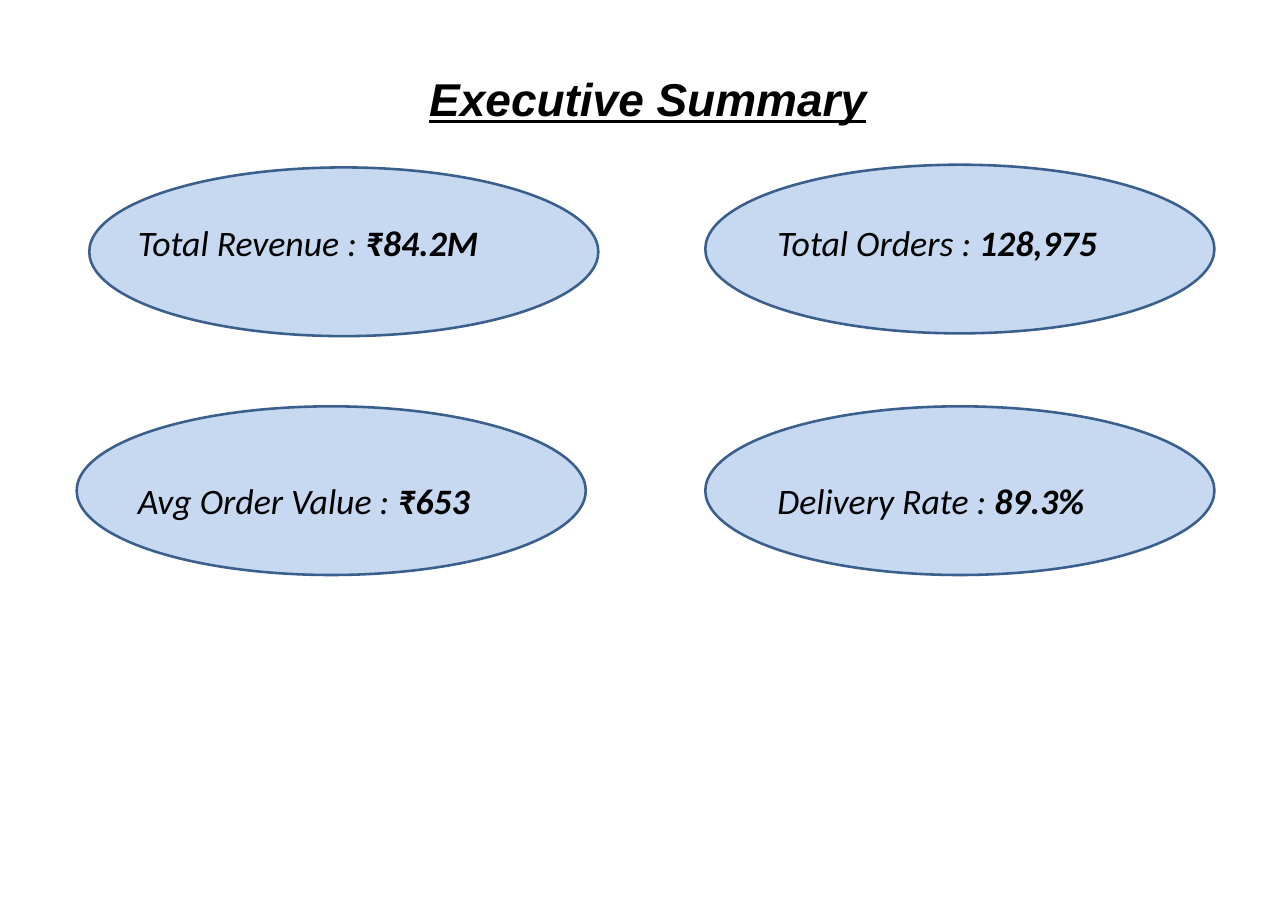
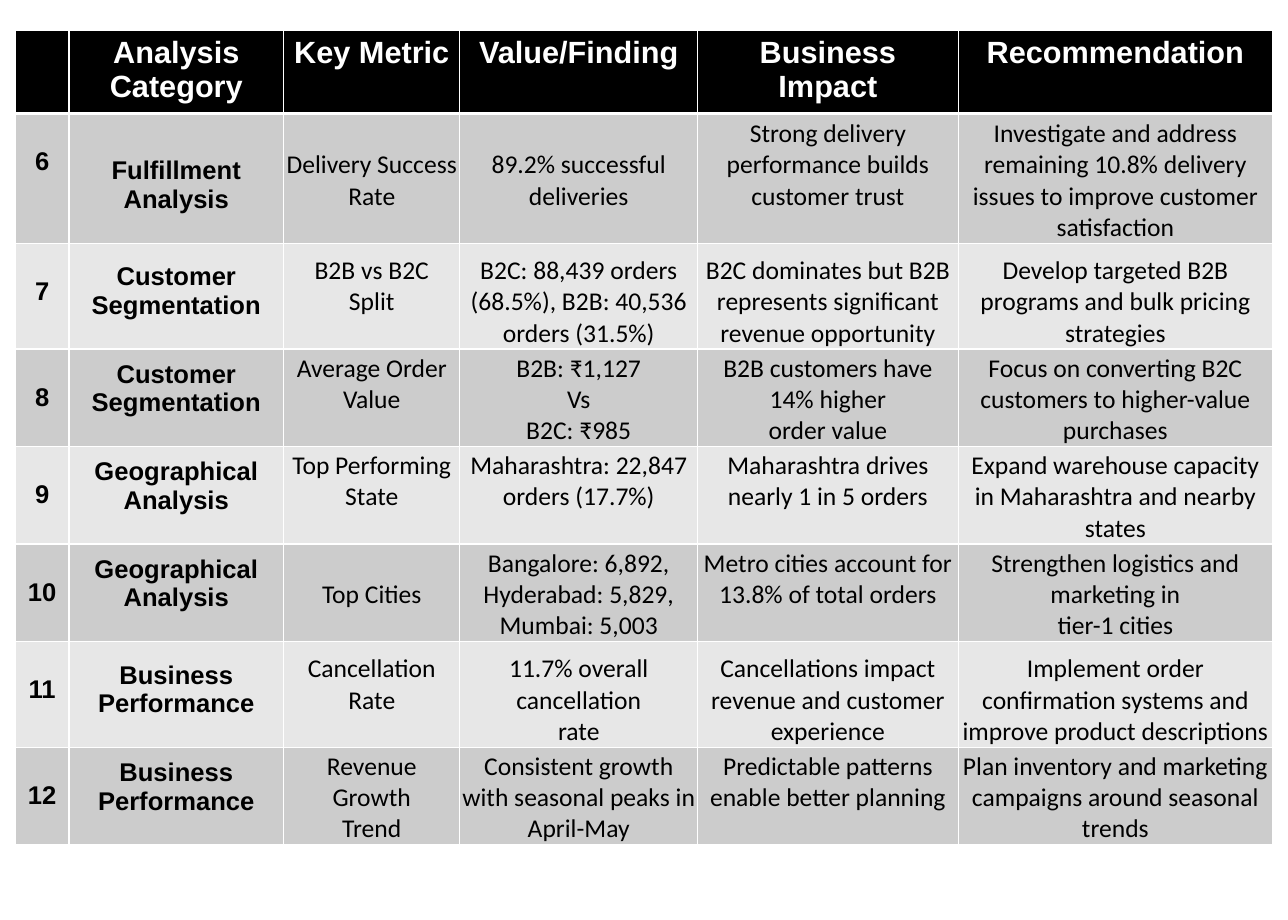
"""Builds a two-slide sales summary: key figures and a table of findings."""
from lxml import etree
from pptx import Presentation
from pptx import util as u
from pptx.dml.color import RGBColor
from pptx.enum import shapes, text
from pptx.oxml import ns

BLACK = RGBColor(0x00, 0x00, 0x00)
WHITE = RGBColor(0xFF, 0xFF, 0xFF)
PALE_BLUE = RGBColor(0xC6, 0xD9, 0xF1)
DEEP_BLUE = RGBColor(0x3A, 0x5F, 0x8C)
BANDS = (RGBColor(0xCC, 0xCC, 0xCC), RGBColor(0xE7, 0xE7, 0xE7))
HEADING_FONT, BODY_FONT = "Arial", "Calibri"
GRID_COLUMNS, GRID_ROWS = 168, 120

METRICS = [
    ("Total Revenue : ", "₹84.2M", (11.64, 21.84), (18, 28.8)),
    ("Total Orders : ", "128,975", (92, 21.48), (101.4, 28.8)),
    ("Avg Order Value : ", "₹653", (10, 53), (18, 62.4)),
    ("Delivery Rate : ", "89.3%", (92, 53), (101.4, 62.4)),
]

COLUMN_WIDTHS = (7, 28, 23, 31, 34, 41)
ROW_HEIGHTS = (10.56, 16.92, 13.8, 12.72, 12.72, 12.72, 13.8, 12.72)
HEADINGS = ("", "Analysis Category", "Key Metric", "Value/Finding",
            "Business Impact", "Recommendation")
FIRST_NUMBER = 6
FINDINGS = [
    ("Fulfillment Analysis", "Delivery Success Rate", "89.2% successful deliveries",
     "Strong delivery performance builds customer trust",
     "Investigate and address remaining 10.8% delivery issues to improve customer satisfaction"),
    ("Customer Segmentation", "B2B vs B2C\nSplit",
     "B2C: 88,439 orders (68.5%), B2B: 40,536 orders (31.5%)",
     "B2C dominates but B2B represents significant revenue opportunity",
     "Develop targeted B2B programs and bulk pricing strategies"),
    ("Customer Segmentation", "Average Order Value", "B2B: ₹1,127\nVs\nB2C: ₹985",
     "B2B customers have 14% higher\norder value",
     "Focus on converting B2C customers to higher-value purchases"),
    ("Geographical Analysis", "Top Performing State", "Maharashtra: 22,847 orders (17.7%)",
     "Maharashtra drives nearly 1 in 5 orders",
     "Expand warehouse capacity in Maharashtra and nearby states"),
    ("Geographical Analysis", "Top Cities",
     "Bangalore: 6,892, Hyderabad: 5,829, Mumbai: 5,003",
     "Metro cities account for 13.8% of total orders",
     "Strengthen logistics and marketing in\ntier-1 cities"),
    ("Business Performance", "Cancellation Rate", "11.7% overall cancellation\nrate",
     "Cancellations impact revenue and customer experience",
     "Implement order confirmation systems and improve product descriptions"),
    ("Business Performance", "Revenue\nGrowth\nTrend",
     "Consistent growth with seasonal peaks in April-May",
     "Predictable patterns enable better planning",
     "Plan inventory and marketing campaigns around seasonal trends"),
]
RAISED_COLUMNS = [(2, 3, 4), (2,), (2,), (2, 3, 4), (2, 4), (2,), (4,)]


class Report:
    """Holds the deck, its style and the current slide."""

    def __init__(self):
        """Start a deck of 14 by 10 inches."""
        self.deck = Presentation()
        self.deck.slide_width = u.Inches(14)
        self.deck.slide_height = u.Inches(10)
        self.page = None

    def across(self, columns):
        """Turn grid columns into a length."""
        return round(self.deck.slide_width * columns / GRID_COLUMNS)

    def down(self, rows):
        """Turn grid rows into a length."""
        return round(self.deck.slide_height * rows / GRID_ROWS)

    def area(self, left, top, width, height):
        """Turn a grid rectangle into lengths."""
        return self.across(left), self.down(top), self.across(width), self.down(height)

    def new_page(self):
        """Add a blank slide and make it current."""
        self.page = self.deck.slides.add_slide(self.deck.slide_layouts[6])

    def span(self, para, words, size, font=BODY_FONT, colour=BLACK, bold=False,
             italic=False, underline=False):
        """Add one run to a paragraph."""
        span = para.add_run()
        span.text = words
        style = span.font
        style.name, style.size, style.color.rgb = font, u.Pt(size), colour
        style.bold, style.italic, style.underline = bold, italic, underline

    def text_line(self, left, top, width, height):
        """Add a text box without margins and return its paragraph."""
        frame = self.page.shapes.add_textbox(*self.area(left, top, width, height)).text_frame
        frame.word_wrap = True
        frame.margin_left = frame.margin_right = frame.margin_top = frame.margin_bottom = 0
        return frame.paragraphs[0]

    def title(self, words):
        """Add the centred, underlined slide title."""
        para = self.text_line(3, 9.2, 163, 7)
        para.alignment = text.PP_ALIGN.CENTER
        self.span(para, words, 36, HEADING_FONT, bold=True, italic=True, underline=True)

    def metric(self, label, value, oval_corner, text_corner):
        """Add an oval with a labelled figure on it."""
        oval = self.page.shapes.add_shape(
            shapes.MSO_SHAPE.OVAL, *self.area(*oval_corner, 66.4, 22))
        oval.shadow.inherit = False
        oval.fill.solid()
        oval.fill.fore_color.rgb = PALE_BLUE
        oval.line.color.rgb = DEEP_BLUE
        oval.line.width = u.Pt(2)
        para = self.text_line(*text_corner, 54, 6)
        self.span(para, label, 28, italic=True)
        self.span(para, value, 28, bold=True, italic=True)

    def borders(self, cell, bottom=1, top=1):
        """Draw white borders around a cell."""
        properties = cell._tc.get_or_add_tcPr()
        for side, points in (("L", 1), ("R", 1), ("T", top), ("B", bottom)):
            line = etree.SubElement(properties, ns.qn(f"a:ln{side}"), w=str(u.Pt(points)))
            fill = etree.SubElement(line, ns.qn("a:solidFill"))
            etree.SubElement(fill, ns.qn("a:srgbClr"), val=str(WHITE))

    def cell(self, cell, words, fill, size=20, bottom=1, top=1, **style):
        """Fill a cell with centred text."""
        self.borders(cell, bottom, top)
        cell.fill.solid()
        cell.fill.fore_color.rgb = fill
        for index, line in enumerate(words.split("\n") if words else []):
            frame = cell.text_frame
            para = frame.add_paragraph() if index else frame.paragraphs[0]
            para.alignment = text.PP_ALIGN.CENTER
            self.span(para, line, size, **style)

    def finding(self, cells, number, words, raised, fill, top):
        """Fill one body row of the table."""
        heading = {"font": HEADING_FONT, "bold": True}
        for column, (cell, value) in enumerate(zip(cells, (str(number), *words))):
            self.cell(cell, value, fill, top=top, **(heading if column < 2 else {}))
            if column == 0:
                cell.margin_top = u.Inches(0.37)
                continue
            cell.vertical_anchor = text.MSO_ANCHOR.BOTTOM
            cell.margin_left = cell.margin_right = cell.margin_top = u.Inches(0.01)
            lift = 0.32 if column == 1 else 0.34 if column in raised else 0
            cell.margin_bottom = u.Inches(lift)

    def findings_table(self):
        """Add the table of findings."""
        frame = self.page.shapes.add_table(
            len(ROW_HEIGHTS), len(COLUMN_WIDTHS),
            *self.area(2, 4, sum(COLUMN_WIDTHS), sum(ROW_HEIGHTS)))
        table = frame.table
        table.first_row = table.horz_banding = False
        for column, width in zip(table.columns, COLUMN_WIDTHS):
            column.width = self.across(width)
        for row, height in zip(table.rows, ROW_HEIGHTS):
            row.height = self.down(height)
        head, *body = table.rows
        for cell, words in zip(head.cells, HEADINGS):
            self.cell(cell, words, BLACK, 24, bottom=3,
                      font=HEADING_FONT, colour=WHITE, bold=True)
        for index, (row, words, raised) in enumerate(zip(body, FINDINGS, RAISED_COLUMNS)):
            self.finding(row.cells, FIRST_NUMBER + index, words, raised,
                         BANDS[index % 2], 1 if index else 3)


def main():
    """Build both slides and save the deck."""
    report = Report()
    report.new_page()
    report.title("Executive Summary")
    for metric in METRICS:
        report.metric(*metric)
    report.new_page()
    report.findings_table()
    report.deck.save("out.pptx")


if __name__ == "__main__":
    main()
